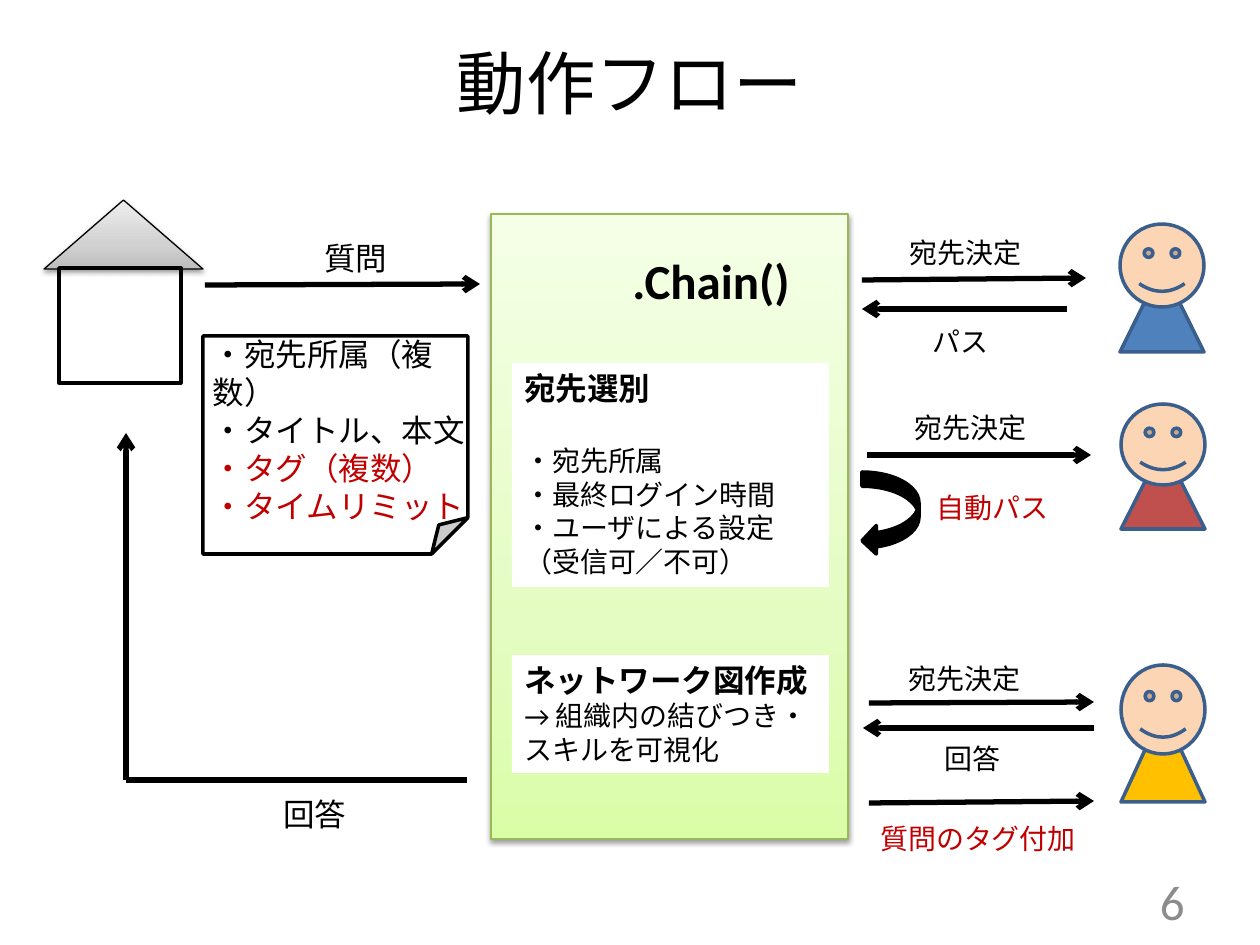
"""Build the flow slide: a house asks, the chain routes, people answer."""
from copy import deepcopy

from pptx import Presentation
from pptx.dml.color import RGBColor
from pptx.enum.shapes import MSO_CONNECTOR, MSO_SHAPE
from pptx.enum.text import MSO_ANCHOR, PP_ALIGN
from pptx.oxml import parse_xml
from pptx.oxml.ns import nsdecls, qn
from pptx.util import Emu, Pt

SCALE = 914400 / 126
FONT, BLACK, WHITE, RED = "Calibri", "000000", "FFFFFF", "C00000"
EDGE, SKIN = "3A5F8C", "FCD5B5"

GREEN = [(0, "DAFDA7"), (0.35, "E4FCC2"), (1, "F5FFE7")]
GREY = [(0, "BDBDBD"), (0.35, "D1D1D1"), (1, "EEEEEE")]

PEOPLE = [(1120, 224, 128, "4F81BD"), (1121, 404, 125, "C0504D"), (1121, 665, 137, "FFC000")]

ARROWS = [
    (205, 285, 480, 284),
    (862, 280, 1086, 278),
    (1067, 309, 862, 309),
    (867, 455, 1091, 455),
    (869, 703, 1094, 702),
    (1094, 728, 863, 728),
    (869, 803, 1094, 801),
    (126, 780, 126, 433),
]

LABELS = [
    ("質問", (312, 233, 110, 50), {"size": 18}),
    ("回答", (271, 789, 110, 50), {"size": 18}),
    ("宛先決定", (897, 229, 171, 47), {}),
    ("パス", (920, 318, 110, 47), {}),
    ("宛先決定", (902, 404, 171, 47), {}),
    ("自動パス", (924, 484, 171, 47), {"hue": RED}),
    ("宛先決定", (896, 655, 171, 47), {}),
    ("回答", (932, 735, 82, 47), {}),
    ("質問のタグ付加", (868, 815, 231, 47), {"hue": RED}),
    (".Chain()", (620, 244, 189, 72), {"size": 28, "bold": True}),
]

NOTE = [
    ("・宛先所属（複数）", BLACK),
    ("・タイトル、本文", BLACK),
    ("・タグ（複数）", RED),
    ("・タイムリミット", RED),
]

PANELS = [
    ((512, 363, 317, 224), "宛先選別", 21,
     ["・宛先所属", "・最終ログイン時間", "・ユーザによる設定（受信可／不可）"]),
    ((512, 655, 317, 118), "ネットワーク図作成", 0,
     ["→ 組織内の結びつき・スキルを可視化"]),
]


def px(*nums):
    return [Emu(round(n * SCALE)) for n in nums]


def tint(code):
    return RGBColor.from_string(code)


def write(shape, text, size=16, hue=BLACK, bold=False, align=PP_ALIGN.LEFT, gap=0):
    frame = shape.text_frame
    frame.word_wrap = True
    para = frame.paragraphs[0] if not frame.text else frame.add_paragraph()
    para.text = text
    para.alignment = align
    if gap:
        para.space_before = Pt(gap)
    run = para.runs[0]
    font = run.font
    font.name, font.size, font.bold = FONT, Pt(size), bold
    font.color.rgb = tint(hue)
    run._r.get_or_add_rPr().append(parse_xml(f'<a:ea {nsdecls("a")} typeface="{FONT}"/>'))


def draw(home, kind, box, fill=None, edge=BLACK, width=2):
    shape = home.shapes.add_shape(kind, *px(*box))
    shape.shadow.inherit = False
    if fill:
        shape.fill.solid()
        shape.fill.fore_color.rgb = tint(fill)
    else:
        shape.fill.background()
    shape.line.color.rgb = tint(edge)
    shape.line.width = Pt(width)
    return shape


def shade(shape, stops):
    shape.fill.gradient()
    shape.fill.gradient_angle = 90
    bank = shape._element.spPr.find(qn("a:gradFill")).find(qn("a:gsLst"))
    while len(bank) < len(stops):
        bank.append(deepcopy(bank[0]))
    for stop, (spot, code) in zip(shape.fill.gradient_stops, stops):
        stop.position = spot
        stop.color.rgb = tint(code)
    shape._element.spPr.find(qn("a:effectLst")).append(parse_xml(
        f'<a:outerShdw {nsdecls("a")} blurRad="{Pt(3.1)}" dist="{Pt(1.6)}" dir="5400000" '
        'rotWithShape="0"><a:srgbClr val="000000"><a:alpha val="38000"/></a:srgbClr></a:outerShdw>'))


def link(slide, ends, head=True):
    line = slide.shapes.add_connector(MSO_CONNECTOR.STRAIGHT, *px(*ends))
    line.line.color.rgb = tint(BLACK)
    line.line.width = Pt(3)
    if head:
        line.line._get_or_add_ln().append(parse_xml(f'<a:tailEnd {nsdecls("a")} type="arrow"/>'))
    line._element.spPr.append(parse_xml(f'<a:effectLst {nsdecls("a")}/>'))


def label(slide, text, box, **style):
    area = slide.shapes.add_textbox(*px(*box))
    write(area, text, **style)
    return area


def person(slide, left, top, tall, hue):
    group = slide.shapes.add_group_shape()
    body = round(tall * 2 / 3)
    draw(group, MSO_SHAPE.ISOSCELES_TRIANGLE, (left, top + tall - body, 84, body), hue, EDGE)
    draw(group, MSO_SHAPE.SMILEY_FACE, (left, top, 84, round(tall * 0.65)), SKIN, EDGE)


def main():
    deck = Presentation()
    deck.slide_width, deck.slide_height = px(1260, 945)
    slide = deck.slides.add_slide(deck.slide_layouts[5])

    title = slide.shapes.title
    title.left, title.top, title.width, title.height = px(63, 38, 1134, 87)
    title.text_frame.vertical_anchor = MSO_ANCHOR.MIDDLE
    write(title, "動作フロー", size=39.6, align=PP_ALIGN.CENTER)

    shade(draw(slide, MSO_SHAPE.RECTANGLE, (491, 214, 357, 625), edge="98B955", width=0.75), GREEN)
    shade(draw(slide, MSO_SHAPE.ISOSCELES_TRIANGLE, (44, 200, 159, 69), width=0.75), GREY)
    draw(slide, MSO_SHAPE.RECTANGLE, (59, 268, 122, 115))

    note = draw(slide, MSO_SHAPE.FOLDED_CORNER, (203, 336, 265, 218), WHITE)
    frame = note.text_frame
    frame.vertical_anchor = MSO_ANCHOR.MIDDLE
    frame.margin_left, frame.margin_top, frame.margin_right, frame.margin_bottom = px(10, 6, 0, 0)
    for text, hue in NOTE:
        write(note, text, size=18, hue=hue)

    for one in PEOPLE:
        person(slide, *one)
    for ends in ARROWS:
        link(slide, ends)
    link(slide, (126, 780, 467, 780), head=False)
    draw(slide, MSO_SHAPE.CURVED_LEFT_ARROW, (862, 472, 57, 83), BLACK)

    for text, box, style in LABELS:
        label(slide, text, box, **style)
    for box, head, gap, rows in PANELS:
        panel = label(slide, head, box, size=18, bold=True)
        panel.fill.solid()
        panel.fill.fore_color.rgb = tint(WHITE)
        for i, row in enumerate(rows):
            write(panel, row, gap=0 if i else gap)

    page = label(slide, "6", (903, 876, 294, 50), size=28, hue="8C8C8C", align=PP_ALIGN.RIGHT)
    page.text_frame.vertical_anchor = MSO_ANCHOR.MIDDLE
    deck.save("out.pptx")


if __name__ == "__main__":
    main()
